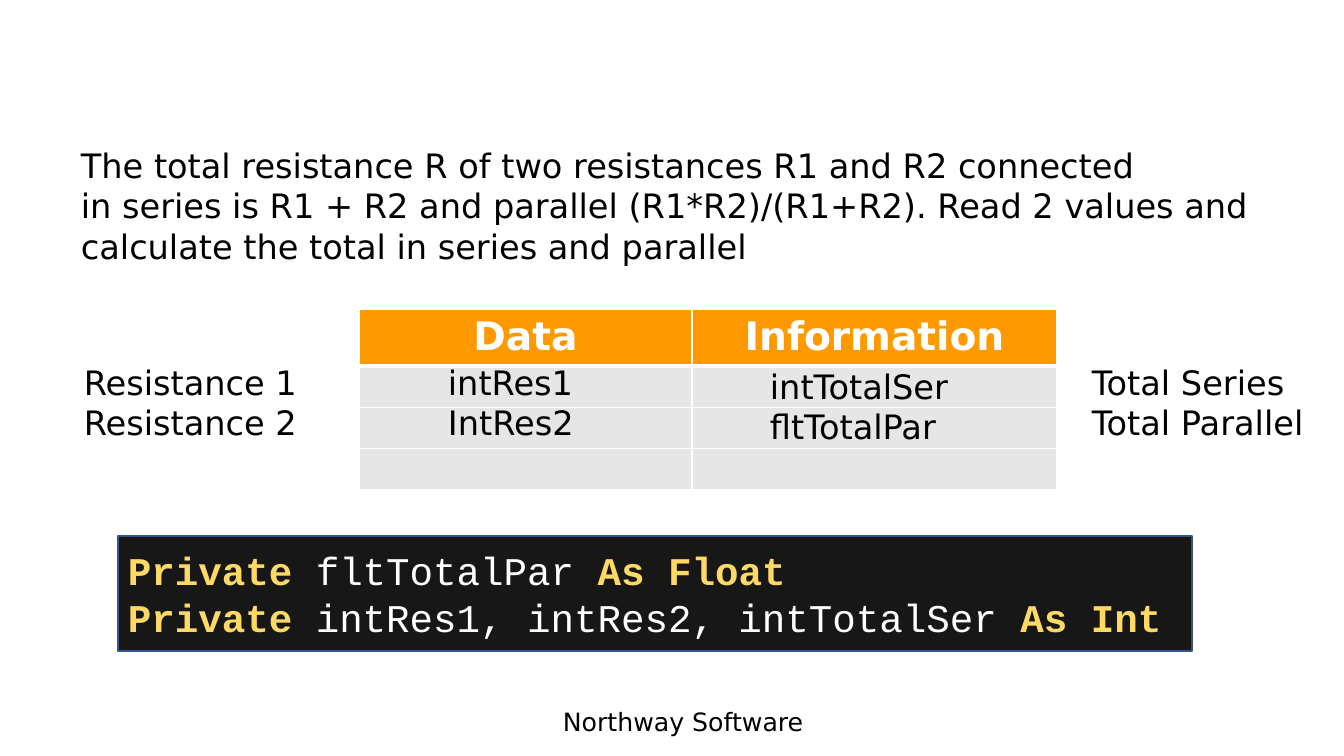
import pptx
import pptx.util
import pptx.dml.color
import pptx.enum.shapes
import pptx.enum.text
import pptx.oxml

PX = 914400 / 100.8
SANS, MONO = "DejaVu Sans", "Courier New"
BLACK, WHITE, ORANGE, GREY = "000000", "FFFFFF", "FE9900", "E7E6E6"
DARK, BLUE, YELLOW = "181717", "325491", "FFD966"
KEYWORD = {"color": YELLOW, "bold": True}
PLAIN = {"color": WHITE, "bold": False}


def emu(px):
    return pptx.util.Emu(round(px * PX))


def rgb(value):
    return pptx.dml.color.RGBColor.from_string(value)


class SlideBuilder:
    style = {"name": SANS, "size": 24, "color": BLACK}

    def __init__(self, prs):
        self.slide = prs.slides.add_slide(prs.slide_layouts[6])

    def fill_text(self, tf, lines, align=None, **fmt):
        """Fill a frame; each line is a string or a list of (text, format) runs."""
        for i, line in enumerate(lines):
            p = tf.add_paragraph() if i else tf.paragraphs[0]
            p.alignment = align
            runs = [(line, {})] if isinstance(line, str) else line
            for text, extra in runs:
                r = p.add_run()
                r.text = text
                for key, value in {**self.style, **fmt, **extra}.items():
                    if key == "color":
                        r.font.color.rgb = rgb(value)
                    else:
                        setattr(r.font, key, pptx.util.Pt(value) if key == "size" else value)

    def text(self, box, lines, **fmt):
        sp = self.slide.shapes.add_textbox(*map(emu, box))
        sp.text_frame.word_wrap = True
        self.fill_text(sp.text_frame, lines, **fmt)

    def panel(self, box, lines, fill, line, **fmt):
        kind = pptx.enum.shapes.MSO_SHAPE.RECTANGLE
        sp = self.slide.shapes.add_shape(kind, *map(emu, box))
        sp.shadow.inherit = False
        sp.fill.solid()
        sp.fill.fore_color.rgb = rgb(fill)
        sp.line.color.rgb = rgb(line)
        sp.line.width = pptx.util.Pt(1)
        tf = sp.text_frame
        tf.word_wrap = True
        tf.vertical_anchor = pptx.enum.text.MSO_ANCHOR.MIDDLE
        self.fill_text(tf, lines, align=pptx.enum.text.PP_ALIGN.LEFT, **fmt)

    def borders(self, cell, widths):
        tc_pr = cell._tc.get_or_add_tcPr()
        for i, (side, width) in enumerate(widths.items()):
            tc_pr.insert(i, pptx.oxml.parse_xml(
                '<a:ln%s xmlns:a="http://schemas.openxmlformats.org/drawingml/2006/main" '
                'w="%d"><a:solidFill><a:srgbClr val="%s"/></a:solidFill></a:ln%s>'
                % (side, pptx.util.Pt(width), WHITE, side)))

    def table(self, left, top, widths, heights, headings):
        box = (left, top, sum(widths), sum(heights))
        tbl = self.slide.shapes.add_table(len(heights), len(widths), *map(emu, box)).table
        for column, width in zip(tbl.columns, widths):
            column.width = emu(width)
        for i, height in enumerate(heights):
            tbl.rows[i].height = emu(height)
            for j, heading in enumerate(headings):
                cell = tbl.cell(i, j)
                cell.fill.solid()
                cell.fill.fore_color.rgb = rgb(GREY if i else ORANGE)
                self.borders(cell, {"L": 1, "R": 1, "T": 1 if i != 1 else 3, "B": 1 if i else 3})
                if i == 0:
                    self.fill_text(cell.text_frame, [heading], size=28, color=WHITE, bold=True,
                                   align=pptx.enum.text.PP_ALIGN.CENTER)


def main():
    prs = pptx.Presentation()
    prs.slide_width, prs.slide_height = emu(1344), emu(756)
    s = SlideBuilder(prs)

    # Footer
    s.text((553, 701, 292, 40), ["Northway Software"], size=18)

    # Problem statement
    s.text((71, 140, 1204, 132), [
        "The total resistance R of two resistances R1 and R2 connected",
        "in series is R1 + R2 and parallel (R1*R2)/(R1+R2). Read 2 values and "
        "calculate the total in series and parallel"])

    # Data and information table
    s.table(359, 309, [333, 365], [55, 41, 41, 41], ["Data", "Information"])

    # Descriptions beside the table and variable names over it
    s.text((74, 357, 285, 173), ["Resistance 1", "Resistance 2"])
    s.text((1082, 357, 247, 92), ["Total Series", "Total Parallel"])
    s.text((438, 357, 206, 132), ["intRes1", "IntRes2"])
    s.text((760, 361, 241, 92), ["intTotalSer", "fltTotalPar"])

    # Declarations
    s.panel((118, 536, 1074, 115), [
        [("Private ", KEYWORD), (names, PLAIN), (kind, KEYWORD)]
        for names, kind in [("fltTotalPar ", "As Float"),
                            ("intRes1, intRes2, intTotalSer ", "As Int")]
    ], fill=DARK, line=BLUE, name=MONO, size=28)

    prs.save("out.pptx")


if __name__ == "__main__":
    main()
